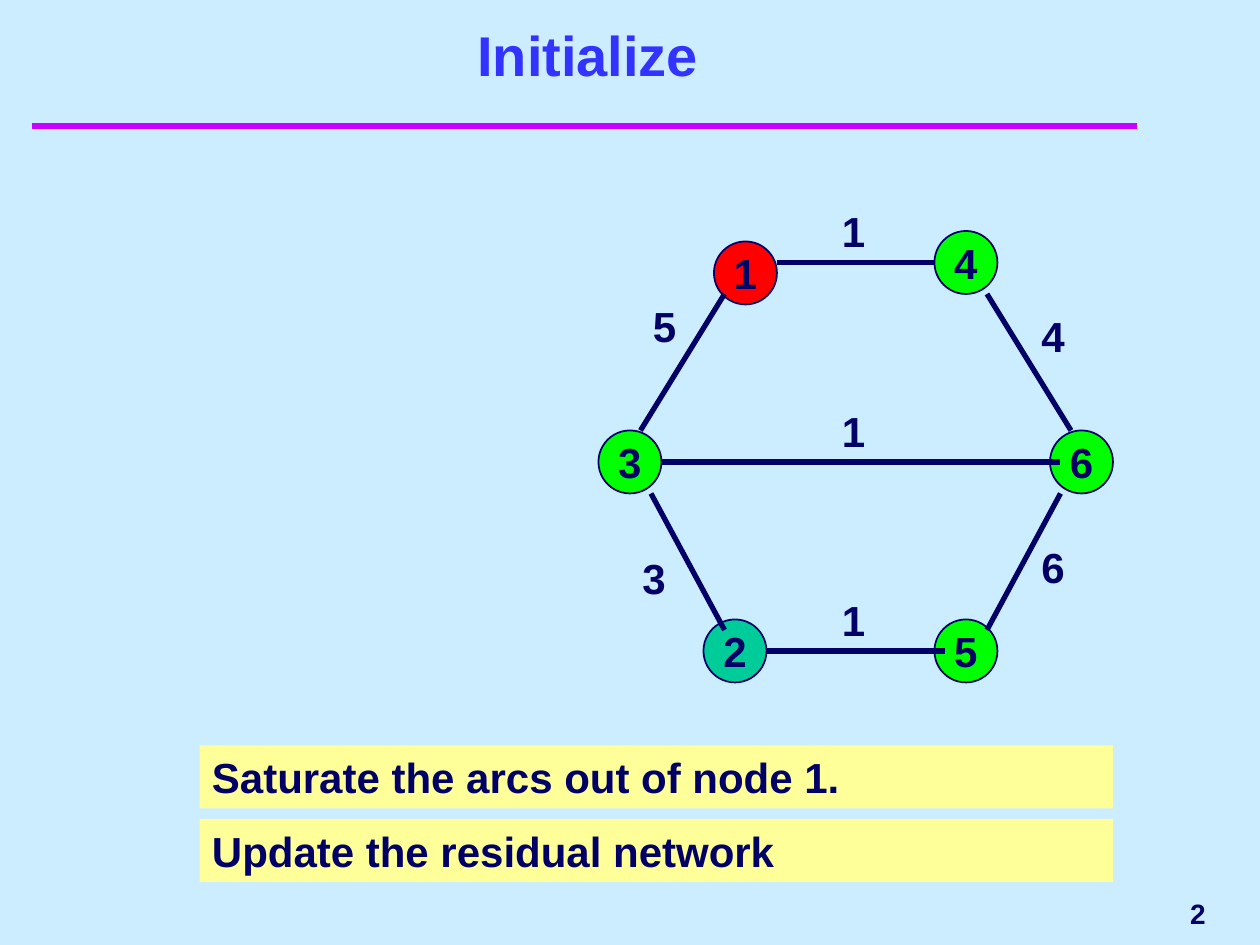
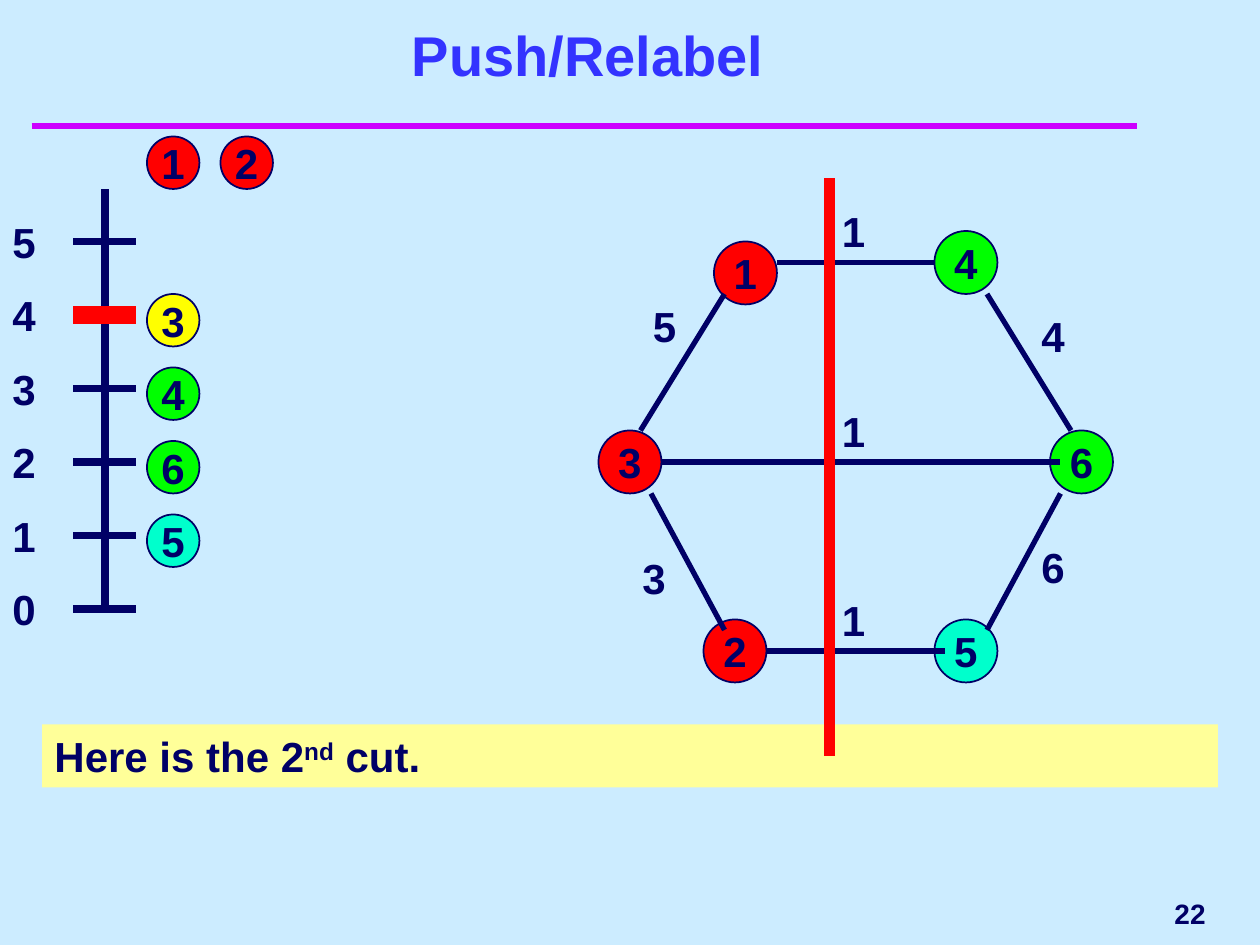
from typing import NamedTuple

from lxml import etree
from pptx import Presentation
from pptx.dml.color import RGBColor
from pptx.enum.shapes import MSO_CONNECTOR, MSO_SHAPE
from pptx.enum.text import MSO_ANCHOR, MSO_AUTO_SIZE, PP_ALIGN
from pptx.oxml.ns import qn
from pptx.util import Pt

LEFT, CENTER, RIGHT = PP_ALIGN.LEFT, PP_ALIGN.CENTER, PP_ALIGN.RIGHT
TOP, MIDDLE, BOTTOM = MSO_ANCHOR.TOP, MSO_ANCHOR.MIDDLE, MSO_ANCHOR.BOTTOM
STRAIGHT = MSO_CONNECTOR.STRAIGHT
OVAL, RECTANGLE = MSO_SHAPE.OVAL, MSO_SHAPE.RECTANGLE
NO_AUTOSIZE = MSO_AUTO_SIZE.NONE

FONT = "Arial"
SKY, NAVY, BLUE, MAGENTA = "CCECFF", "000066", "3333FF", "CC00FF"
RED, GREEN, TEAL, AQUA = "FF0000", "00FF00", "00CC99", "00FFCC"
YELLOW, CREAM = "FFFF00", "FFFF99"

TITLE_ONLY = 5
NODE_SIZE = 36
TOKEN_SIZE = 30
TOKEN_X = 84
AXIS_X, AXIS_TOP, AXIS_BOTTOM = 60, 108, 348
LEVEL_STEP = 42
TICK_HALF = 18
LEVELS = 6


class Run(NamedTuple):
    text: str
    superscript: bool = False


class Spot(NamedTuple):
    text: str
    x: float
    y: float


class Line(NamedTuple):
    x1: float
    y1: float
    x2: float
    y2: float


class Token(NamedTuple):
    text: str
    x: float
    y: float
    color: str


class Note(NamedTuple):
    x: float
    y: float
    width: float
    runs: list[Run]


NODES = [
    Spot("1", 408, 138),
    Spot("3", 342, 246),
    Spot("2", 402, 354),
    Spot("5", 534, 354),
    Spot("6", 600, 246),
    Spot("4", 534, 132),
]
EDGES = [
    Line(444, 150, 534, 150),
    Line(414, 168, 366, 246),
    Line(372, 282, 414, 360),
    Line(438, 372, 540, 372),
    Line(564, 360, 606, 282),
    Line(612, 246, 564, 168),
    Line(378, 264, 606, 264),
]
CAPACITIES = [
    Spot("1", 474, 114),
    Spot("1", 474, 228),
    Spot("1", 474, 336),
    Spot("5", 366, 168),
    Spot("3", 360, 312),
    Spot("4", 588, 174),
    Spot("6", 588, 306),
]


def level_y(level: int) -> float:
    return AXIS_BOTTOM - LEVEL_STEP * level


def token_at(text: str, level: int, color: str) -> Token:
    return Token(text, TOKEN_X, level_y(level) - 12, color)


TOKENS = [
    Token("1", TOKEN_X, 78, RED),
    Token("2", TOKEN_X + LEVEL_STEP, 78, RED),
    token_at("3", 4, YELLOW),
    token_at("4", 3, GREEN),
    token_at("6", 2, GREEN),
    token_at("5", 1, AQUA),
]


def rgb(color: str) -> RGBColor:
    return RGBColor.from_string(color)


def write(sp, runs: list[Run], size: float = 24, color: str = NAVY,
          align=LEFT, anchor=TOP, wrap: bool = True) -> None:
    tf = sp.text_frame
    tf.word_wrap = wrap
    tf.auto_size = NO_AUTOSIZE
    tf.vertical_anchor = anchor
    tf.margin_left = tf.margin_right = Pt(7.2)
    tf.margin_top = tf.margin_bottom = Pt(3.6)
    p = tf.paragraphs[0]
    p.alignment = align
    for run in runs:
        r = p.add_run()
        r.text = run.text
        r.font.name = FONT
        r.font.size = Pt(size)
        r.font.bold = True
        r.font.color.rgb = rgb(color)
        if run.superscript:
            r.font._element.set("baseline", "30000")


def add_text(s, spot: Spot, width: float, **style) -> None:
    sp = s.shapes.add_textbox(Pt(spot.x), Pt(spot.y), Pt(width), Pt(36))
    write(sp, [Run(spot.text)], **style)


def add_line(s, line: Line, color: str, width: float) -> None:
    sp = s.shapes.add_connector(STRAIGHT, *(Pt(v) for v in line))
    sp.line.color.rgb = rgb(color)
    sp.line.width = Pt(width)
    etree.SubElement(sp._element.spPr, qn("a:effectLst"))


def add_circle(s, token: Token, size: float) -> None:
    sp = s.shapes.add_shape(OVAL, Pt(token.x), Pt(token.y), Pt(size), Pt(size))
    sp.shadow.inherit = False
    sp.fill.solid()
    sp.fill.fore_color.rgb = rgb(token.color)
    sp.line.color.rgb = rgb(NAVY)
    sp.line.width = Pt(1)
    write(sp, [Run(token.text)], align=CENTER, anchor=MIDDLE, wrap=False)


def add_note(s, note: Note) -> None:
    sp = s.shapes.add_shape(
        RECTANGLE, Pt(note.x), Pt(note.y), Pt(note.width), Pt(36))
    sp.shadow.inherit = False
    sp.fill.solid()
    sp.fill.fore_color.rgb = rgb(CREAM)
    sp.line.fill.background()
    write(sp, note.runs)


def add_network(s, colors: dict[str, str]) -> None:
    for node in NODES:
        add_circle(s, Token(*node, colors.get(node.text, GREEN)), NODE_SIZE)
    for edge in EDGES:
        add_line(s, edge, NAVY, 3)
    for capacity in CAPACITIES:
        add_text(s, capacity, 48)


def add_distance_scale(s) -> None:
    add_line(s, Line(AXIS_X, AXIS_TOP, AXIS_X, AXIS_BOTTOM), NAVY, 4.5)
    for level in range(LEVELS):
        add_tick(s, level, NAVY, 4.5)
        add_text(s, Spot(str(level), 0, level_y(level) - 18), 30)


def add_tick(s, level: int, color: str, width: float) -> None:
    y = level_y(level)
    add_line(s, Line(AXIS_X - TICK_HALF, y, AXIS_X + TICK_HALF, y), color, width)


def start_slide(prs, title: str, number: int):
    s = prs.slides.add_slide(prs.slide_layouts[TITLE_ONLY])
    sp = s.shapes.title
    sp.left, sp.top, sp.width, sp.height = Pt(30), Pt(24), Pt(612), Pt(30)
    write(sp, [Run(title)], size=32, color=BLUE, align=CENTER, anchor=BOTTOM)
    add_line(s, Line(18, 72, 650, 72), MAGENTA, 4)
    add_text(s, Spot(str(number), 558, 504), 138,
             size=16, align=RIGHT, anchor=MIDDLE)
    return s


def build_initialize(prs) -> None:
    s = start_slide(prs, "Initialize", 2)
    add_network(s, {"1": RED, "2": TEAL})
    add_note(s, Note(114, 426, 522, [Run("Saturate the arcs out of node 1.")]))
    add_note(s, Note(114, 468, 522, [Run("Update the residual network")]))


def build_push_relabel(prs) -> None:
    s = start_slide(prs, "Push/Relabel", 22)
    add_distance_scale(s)
    for token in TOKENS:
        add_circle(s, token, TOKEN_SIZE)
    add_note(s, Note(24, 414, 672, [
        Run("Here is the 2"), Run("nd", superscript=True), Run(" cut.")]))
    add_tick(s, 4, RED, 10)
    add_network(s, {"1": RED, "2": RED, "3": RED, "5": AQUA})
    add_line(s, Line(474, 102, 474, 432), RED, 6)


def main() -> None:
    prs = Presentation()
    prs.slide_width, prs.slide_height = Pt(720), Pt(540)
    fill = prs.slide_master.background.fill
    fill.solid()
    fill.fore_color.rgb = rgb(SKY)
    build_initialize(prs)
    build_push_relabel(prs)
    prs.save("out.pptx")


if __name__ == "__main__":
    main()
